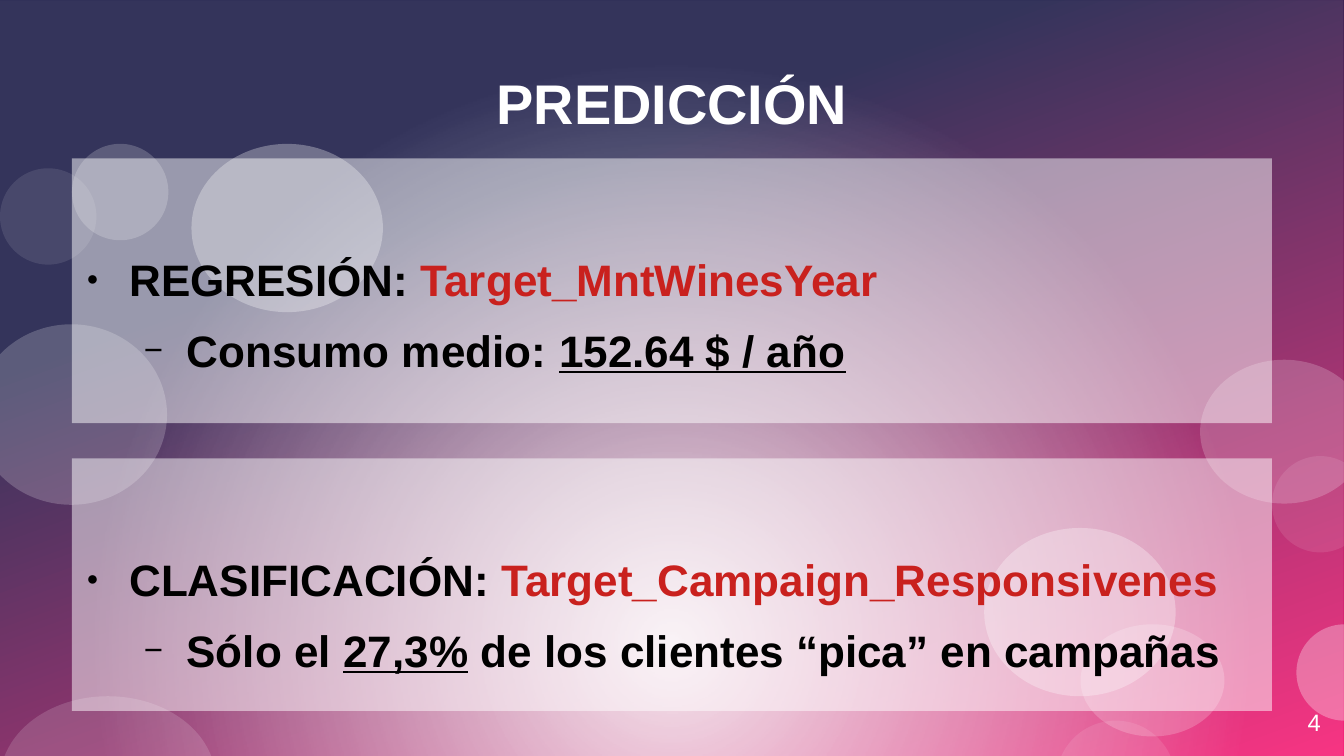
from lxml import etree
from pptx import Presentation
from pptx.dml.color import RGBColor
from pptx.enum import shapes, text
from pptx.oxml import parse_xml
from pptx.oxml.ns import nsdecls, qn
from pptx.util import Inches, Pt

WHITE = RGBColor(0xFF, 0xFF, 0xFF)
BLACK = RGBColor(0, 0, 0)
NAVY = RGBColor(0, 0, 0x32)
PINK = RGBColor(0xF6, 0, 0x63)
RED = RGBColor(0xC9, 0x21, 0x1E)
KIND = shapes.MSO_SHAPE
WIDE, HIGH = 11.02, 6.2

deck = Presentation()
deck.slide_width, deck.slide_height = Inches(WIDE), Inches(HIGH)
slide = deck.slides.add_slide(deck.slide_layouts[5])


def add_form(kind, box, stops, shade=""):
    """Add a borderless shape; stops are (position, colour, opacity) in percent."""
    form = slide.shapes.add_shape(kind, *map(Inches, box))
    form.shadow.inherit = False
    form.line.fill.background()
    tints = [(spot, f'<a:srgbClr val="{hue}"><a:alpha val="{alpha * 1000}"/></a:srgbClr>')
             for spot, hue, alpha in stops]
    if shade:
        marks = "".join(f'<a:gs pos="{spot * 1000}">{tint}</a:gs>' for spot, tint in tints)
        fill = f'<a:gradFill {nsdecls("a")}><a:gsLst>{marks}</a:gsLst>{shade}</a:gradFill>'
    else:
        fill = f'<a:solidFill {nsdecls("a")}>{tints[0][1]}</a:solidFill>'
    form._element.spPr.find(qn("a:prstGeom")).addnext(parse_xml(fill))
    return form


def add_run(para, words, **looks):
    run = para.add_run()
    run.text = words
    hue = looks.pop("hue", BLACK)
    for key, value in {"name": "Arial", "size": Pt(26), "bold": True, **looks}.items():
        setattr(run.font, key, value)
    run.font.color.rgb = hue


# Backdrop: diagonal colour, then a white glow from below
full = (0, 0, WIDE, HIGH)
add_form(KIND.RECTANGLE, full, [(30, NAVY, 100), (100, PINK, 100)],
         '<a:lin ang="4200000" scaled="0"/>')
add_form(KIND.RECTANGLE, full, [(0, WHITE, 90), (75, WHITE, 20)],
         '<a:path path="circle"><a:fillToRect l="50000" t="85000" r="50000" b="15000"/></a:path>')

# Bubbles: left, top, width, height, opacity
for *box, alpha in [
    (1.57, 1.18, 1.57, 1.38, 30),
    (8.07, 4.33, 1.57, 1.38, 30),
    (9.84, 2.95, 1.38, 1.18, 20),
    (-0.2, 2.66, 1.57, 1.48, 20),
    (0.59, 1.18, 0.79, 0.79, 20),
    (0, 1.38, 0.79, 0.79, 10),
    (0, 5.71, 1.77, 1.38, 15),
    (10.63, 5.12, 0.79, 0.79, 30),
    (10.43, 3.74, 0.79, 0.79, 10),
    (8.86, 5.12, 1.18, 0.92, 20),
    (8.66, 5.91, 0.98, 0.98, 10),
]:
    add_form(KIND.OVAL, box, [(0, WHITE, alpha)])

# Title, brought in front of the backdrop
title = slide.shapes.title
slide.shapes._spTree.append(title._element)
title.left, title.top, title.width, title.height = map(Inches, (0.59, 0.3, 9.84, 1.08))

# Panels: top, height, heading, target, detail runs with underline
panels = [
    (1.3, 2.17, "REGRESIÓN: ", "Target_MntWinesYear",
     [("Consumo medio: ", False), ("152.64 $ / año", True)]),
    (3.76, 2.07, "CLASIFICACIÓN: ", "Target_Campaign_Responsivenes",
     [("Sólo el ", False), ("27,3%", True),
      (" de los clientes “pica” en campañas", False)]),
]
for top, high, head, target, detail in panels:
    panel = add_form(KIND.RECTANGLE, (0.59, top, 9.84, high), [(0, WHITE, 50)])
    frame = panel.text_frame
    frame.word_wrap = True
    frame.vertical_anchor = text.MSO_ANCHOR.TOP
    frame.margin_left = frame.margin_right = frame.margin_bottom = 0
    frame.margin_top = Inches(0.77)
    lead, sub = frame.paragraphs[0], frame.add_paragraph()
    add_run(lead, head)
    add_run(lead, target, hue=RED)
    for words, under in detail:
        add_run(sub, words, underline=under)
    sub.level = 1
    for para, indent, mark, size in [(lead, 0.47, "●", 45), (sub, 0.94, "−", 75)]:
        para.alignment = text.PP_ALIGN.LEFT
        para.space_before, para.space_after = Pt(0), Pt(10.8)
        props = para._p.get_or_add_pPr()
        props.set("marL", str(Inches(indent)))
        props.set("indent", str(Inches(-0.35)))
        hue = etree.SubElement(props, qn("a:buClr"))
        etree.SubElement(hue, qn("a:srgbClr"), val=str(BLACK))
        etree.SubElement(props, qn("a:buSzPct"), val=str(size * 1000))
        etree.SubElement(props, qn("a:buFont"), typeface="Arial")
        etree.SubElement(props, qn("a:buChar"), char=mark)

# Title and page number text
number = slide.shapes.add_textbox(*map(Inches, (8.27, 5.61, 2.56, 0.43)))
for shape, words, size, bold, anchor, align in [
    (title, "PREDICCIÓN", 33, True, text.MSO_ANCHOR.MIDDLE, text.PP_ALIGN.CENTER),
    (number, "4", 14, False, text.MSO_ANCHOR.BOTTOM, text.PP_ALIGN.RIGHT),
]:
    frame = shape.text_frame
    frame.word_wrap = True
    frame.vertical_anchor = anchor
    for side in ("left", "top", "right", "bottom"):
        setattr(frame, f"margin_{side}", 0)
    frame.paragraphs[0].alignment = align
    add_run(frame.paragraphs[0], words, size=Pt(size), bold=bold, hue=WHITE)

deck.save("out.pptx")
